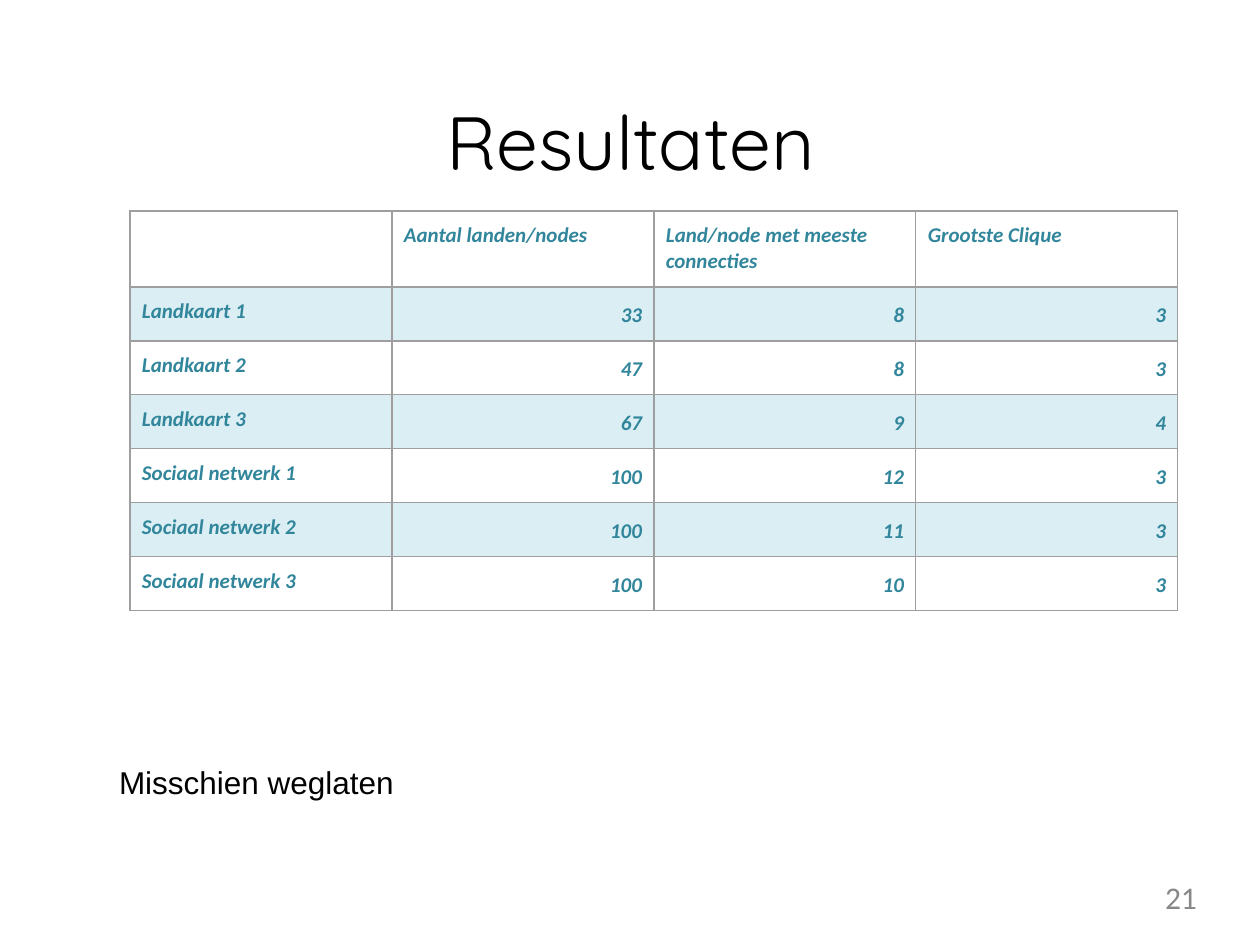
"""Build the results slide with its table of maps and social networks."""
from lxml.etree import SubElement
from pptx import Presentation
from pptx.dml.color import RGBColor
from pptx.enum.text import MSO_ANCHOR as Anchor, MSO_AUTO_SIZE as AutoSize, PP_ALIGN as Align
from pptx.oxml.ns import qn
from pptx.util import Emu, Pt

SCALE = 914400 / 126
COLORS = {"text": "000000", "number": "888888", "table": "31869B",
          "band": "DAEEF3", "border": "9E9E9E"}
ROWS = [
    ["", "Aantal landen/nodes", "Land/node met meeste connecties", "Grootste Clique"],
    ["Landkaart 1", "33", "8", "3"],
    ["Landkaart 2", "47", "8", "3"],
    ["Landkaart 3", "67", "9", "4"],
    ["Sociaal netwerk 1", "100", "12", "3"],
    ["Sociaal netwerk 2", "100", "11", "3"],
    ["Sociaal netwerk 3", "100", "10", "3"],
]
COLUMN_WIDTH, HEADER_HEIGHT, ROW_HEIGHT = 262, 76, 54


def px(length):
    return Emu(round(length * SCALE))


def write(frame, text, font, size, color, align, margin, bold=False):
    frame.word_wrap = True
    frame.margin_left = frame.margin_right = px(margin)
    frame.margin_top = frame.margin_bottom = px(margin)
    paragraph = frame.paragraphs[0]
    paragraph.alignment = align
    run = paragraph.add_run()
    run.text = text
    run.font.name, run.font.size = font, Pt(size)
    run.font.bold = run.font.italic = bold
    run.font.color.rgb = RGBColor.from_string(COLORS[color])
    return paragraph


presentation = Presentation()
presentation.slide_width, presentation.slide_height = px(1260), px(945)
slide = presentation.slides.add_slide(presentation.slide_layouts[5])

title = slide.shapes.title
title.left, title.top, title.width, title.height = px(134), px(95), px(993), px(91)
title.text_frame.auto_size = AutoSize.NONE
title.text_frame.vertical_anchor = Anchor.TOP
write(title.text_frame, "Resultaten", "Quicksand", 43, "text", Align.CENTER, 0)

number = slide.shapes.add_textbox(px(907), px(878), px(290), px(37))
write(number.text_frame, "21", "Calibri", 18, "number", Align.RIGHT, 0)

frame = slide.shapes.add_table(
    len(ROWS), len(ROWS[0]), px(130), px(211), px(COLUMN_WIDTH * len(ROWS[0])),
    px(HEADER_HEIGHT + ROW_HEIGHT * (len(ROWS) - 1)))
table = frame.table
table.first_row = table.horz_banding = False
for column in table.columns:
    column.width = px(COLUMN_WIDTH)

for row_index, values in enumerate(ROWS):
    table.rows[row_index].height = px(ROW_HEIGHT if row_index else HEADER_HEIGHT)
    for column_index, value in enumerate(values):
        cell = table.cell(row_index, column_index)
        is_value = row_index > 0 and column_index > 0
        cell.margin_left = cell.margin_right = px(12)
        cell.margin_top = cell.margin_bottom = px(12)
        if value:
            paragraph = write(cell.text_frame, value, "Calibri", 12, "table",
                              Align.RIGHT if is_value else Align.LEFT, 12, True)
            if is_value:
                paragraph.line_spacing = 1.15
        properties = cell._tc.get_or_add_tcPr()
        for side in ("a:lnL", "a:lnR", "a:lnT", "a:lnB"):
            line = SubElement(properties, qn(side), w=str(Pt(0.75)))
            fill = SubElement(line, qn("a:solidFill"))
            SubElement(fill, qn("a:srgbClr"), val=COLORS["border"])
        if row_index % 2:
            cell.fill.solid()
            cell.fill.fore_color.rgb = RGBColor.from_string(COLORS["band"])
        else:
            cell.fill.background()

remark = slide.shapes.add_textbox(px(113), px(757), px(814), px(50))
write(remark.text_frame, "Misschien weglaten", "Arial", 18, "text", Align.LEFT, 6)

presentation.save("out.pptx")
